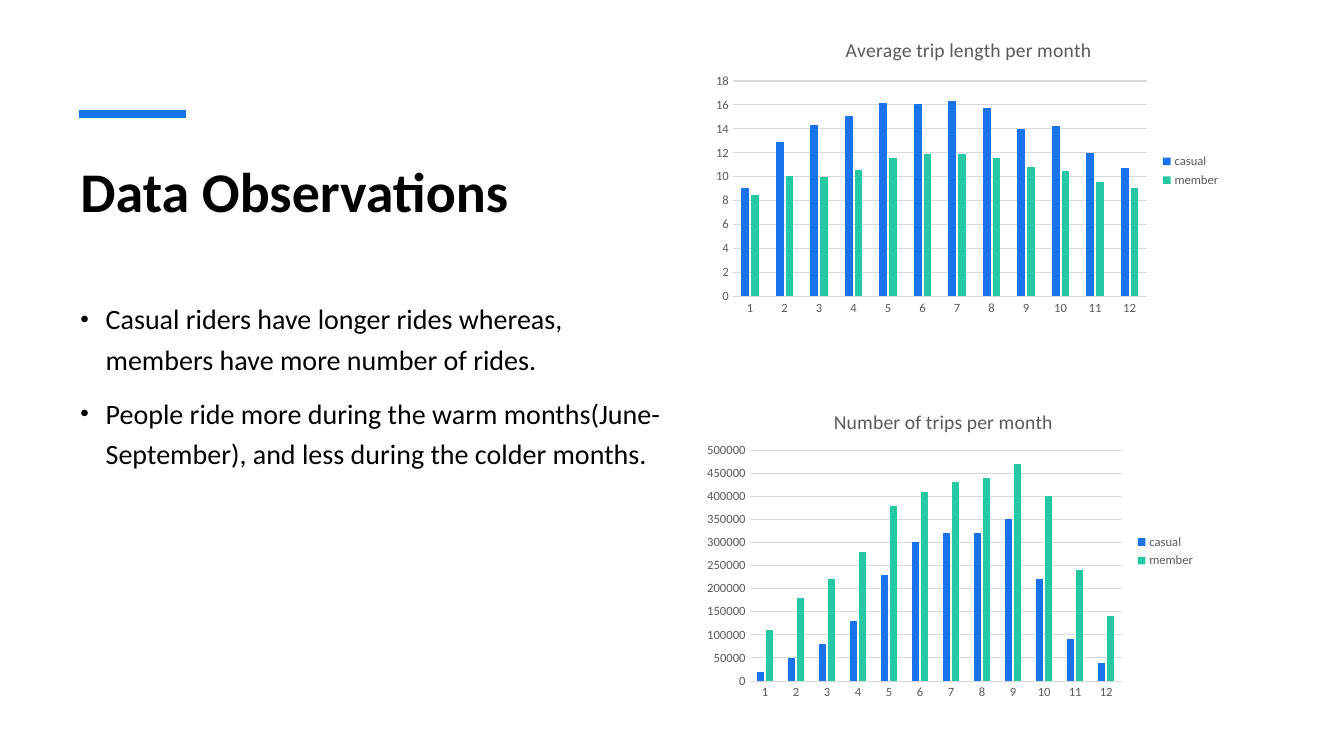
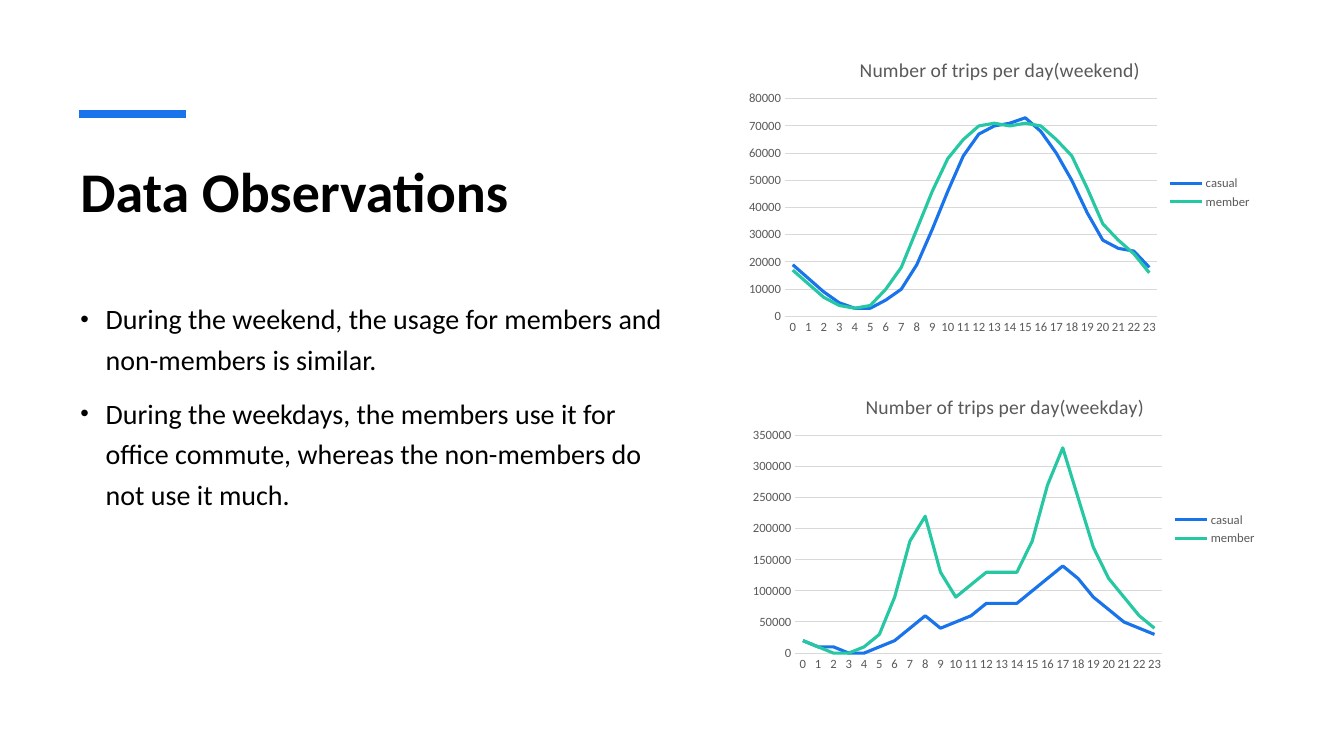
from lxml import etree
from pptx import Presentation
from pptx.chart.data import CategoryChartData
from pptx.dml.color import RGBColor
from pptx.enum import chart as charts, shapes, text
from pptx.oxml import ns
from pptx.util import Inches, Pt

BLACK = RGBColor(0x00, 0x00, 0x00)
BLUE = RGBColor(0x19, 0x73, 0xEB)
GREEN = RGBColor(0x25, 0xC8, 0xA2)
GRAY = RGBColor(0x59, 0x59, 0x59)
PALE = RGBColor(0xD9, 0xD9, 0xD9)
FONT = "Calibri"
WIDTH, HEIGHT = Inches(13.33), Inches(7.5)
COLUMN, ROW = WIDTH / 40, HEIGHT / 30

BARS = charts.XL_CHART_TYPE.COLUMN_CLUSTERED
LINES = charts.XL_CHART_TYPE.LINE
MONTHS = [str(month) for month in range(1, 13)]
HOURS = [str(hour) for hour in range(24)]

SLIDES = [
    {
        "points": [
            "Casual riders have longer rides whereas, members have more number of rides.",
            "People ride more during the warm months(June-September), and less during the colder months.",
        ],
        "charts": [
            {
                "title": "Number of trips per month",
                "kind": BARS, "categories": MONTHS, "grid": (20.28, 15.6, 15.6, 12.56),
                "plot": (0.13, 0.18, 0.71, 0.73), "top": 500000, "step": 50000,
                "casual": [20000, 50000, 80000, 130000, 230000, 300000,
                           320000, 320000, 350000, 220000, 90000, 40000],
                "member": [110000, 180000, 220000, 280000, 380000, 410000,
                           430000, 440000, 470000, 400000, 240000, 140000],
            },
            {
                "title": "Average trip length per month",
                "kind": BARS, "categories": MONTHS, "grid": (21.03, 0.84, 15.6, 11.88),
                "plot": (0.05, 0.2, 0.79, 0.72), "top": 18, "step": 2,
                "casual": [9.1, 12.9, 14.3, 15.1, 16.2, 16.1, 16.3, 15.7, 14, 14.2, 12, 10.7],
                "member": [8.5, 10.1, 10, 10.6, 11.6, 11.9, 11.9, 11.6, 10.8, 10.5, 9.6, 9.1],
            },
        ],
    },
    {
        "points": [
            "During the weekend, the usage for members and non-members is similar.",
            "During the weekdays, the members use it for office commute, whereas the non-members do not use it much.",
        ],
        "charts": [
            {
                "title": "Number of trips per day(weekday)",
                "kind": LINES, "categories": HOURS, "grid": (22.11, 15, 15.6, 12),
                "plot": (0.1, 0.19, 0.7, 0.72), "top": 350000, "step": 50000,
                "casual": [20000, 10000, 10000, 0, 0, 10000, 20000, 40000,
                           60000, 40000, 50000, 60000, 80000, 80000, 80000, 100000,
                           120000, 140000, 120000, 90000, 70000, 50000, 40000, 30000],
                "member": [20000, 10000, 0, 0, 10000, 30000, 90000, 180000,
                           220000, 130000, 90000, 110000, 130000, 130000, 130000, 180000,
                           270000, 330000, 250000, 170000, 120000, 90000, 60000, 40000],
            },
            {
                "title": "Number of trips per day(weekend)",
                "kind": LINES, "categories": HOURS, "grid": (21.96, 1.64, 15.6, 12),
                "plot": (0.09, 0.19, 0.71, 0.72), "top": 80000, "step": 10000,
                "casual": [19000, 14000, 9000, 5000, 3000, 3000, 6000, 10000,
                           19000, 32000, 46000, 59000, 67000, 70000, 71000, 73000,
                           68000, 60000, 50000, 38000, 28000, 25000, 24000, 18000],
                "member": [17000, 12000, 7000, 4000, 3000, 4000, 10000, 18000,
                           32000, 46000, 58000, 65000, 70000, 71000, 70000, 71000,
                           70000, 65000, 59000, 47000, 34000, 28000, 23000, 16000],
            },
        ],
    },
]


def cells(left, top, width, height):
    return round(left * COLUMN), round(top * ROW), round(width * COLUMN), round(height * ROW)


def style(font, size, color, bold=False):
    font.name, font.size, font.bold = FONT, Pt(size), bold
    font.color.rgb = color


def add_text_frame(page, box):
    frame = page.shapes.add_textbox(*box).text_frame
    frame.word_wrap = True
    frame.vertical_anchor = text.MSO_ANCHOR.TOP
    return frame


def add_accent(page, box):
    left, top, width, height = box
    accent = page.shapes.add_connector(
        shapes.MSO_CONNECTOR.STRAIGHT, left, top, left + width, top + height)
    accent.line.color.rgb = BLUE
    accent.line.width = Pt(6)
    etree.SubElement(accent._element.spPr, ns.qn("a:effectLst"))


def add_title(page, box, words):
    para = add_text_frame(page, box).paragraphs[0]
    para.text = words
    style(para.font, 40, BLACK, bold=True)


def add_bullet(para):
    properties = para._p.get_or_add_pPr()
    properties.set("marL", str(Inches(0.25)))
    properties.set("indent", str(-Inches(0.25)))
    etree.SubElement(properties, ns.qn("a:buSzPct"), val="87000")
    etree.SubElement(properties, ns.qn("a:buFont"), typeface="Arial")
    etree.SubElement(properties, ns.qn("a:buChar"), char="•")


def add_points(page, box, points):
    frame = add_text_frame(page, box)
    for number, point in enumerate(points):
        para = frame.add_paragraph() if number else frame.paragraphs[0]
        para.text = point
        para.line_spacing = 1.2
        if number:
            para.space_before = Pt(10)
        add_bullet(para)
        style(para.font, 20, BLACK)


def place_plot(chart, shares):
    area = chart._chartSpace.chart.plotArea
    for old in area.findall(ns.qn("c:layout")):
        area.remove(old)
    layout = etree.Element(ns.qn("c:layout"))
    manual = etree.SubElement(layout, ns.qn("c:manualLayout"))
    settings = [("layoutTarget", "inner"), ("xMode", "edge"), ("yMode", "edge")]
    for name, value in settings + list(zip("xywh", shares)):
        etree.SubElement(manual, ns.qn("c:" + name), val=str(value))
    area.insert(0, layout)


def style_axes(chart, top, step):
    for axis in (chart.category_axis, chart.value_axis):
        axis.major_tick_mark = axis.minor_tick_mark = charts.XL_TICK_MARK.NONE
        style(axis.tick_labels.font, 9, GRAY)
    values = chart.value_axis
    values.minimum_scale, values.maximum_scale, values.major_unit = 0, top, step
    values.has_major_gridlines = True
    values.format.line.fill.background()
    for line in (chart.category_axis.format.line, values.major_gridlines.format.line):
        line.color.rgb = PALE
        line.width = Pt(0.75)


def style_series(chart, kind):
    plot = chart.plots[0]
    plot.vary_by_categories = False
    if kind == BARS:
        plot.gap_width, plot.overlap = 219, -27
    for series, color in zip(plot.series, (BLUE, GREEN)):
        if kind == BARS:
            series.format.fill.solid()
            series.format.fill.fore_color.rgb = color
        else:
            series.smooth = False
            series.marker.style = charts.XL_MARKER_STYLE.NONE
            series.format.line.color.rgb = color
            series.format.line.width = Pt(2.25)


def add_trip_chart(page, box, trips):
    data = CategoryChartData()
    data.categories = trips["categories"]
    for rider in ("casual", "member"):
        data.add_series(rider, trips[rider])
    chart = page.shapes.add_chart(trips["kind"], *box, data).chart
    style(chart.font, 10, BLACK)
    heading = chart.chart_title.text_frame.paragraphs[0]
    heading.text = trips["title"]
    style(heading.font, 14, GRAY)
    chart.has_legend = True
    chart.legend.position = charts.XL_LEGEND_POSITION.RIGHT
    chart.legend.include_in_layout = False
    style(chart.legend.font, 9, GRAY)
    style_axes(chart, trips["top"], trips["step"])
    style_series(chart, trips["kind"])
    place_plot(chart, trips["plot"])


def add_observations(deck, content):
    page = deck.slides.add_slide(deck.slide_layouts[6])
    add_accent(page, cells(2.34, 4.52, 3.21, 0))
    add_title(page, cells(2.1, 6, 35.73, 4.8), "Data Observations")
    add_points(page, cells(2.1, 11.52, 17.91, 15.6), content["points"])
    for trips in content["charts"]:
        add_trip_chart(page, cells(*trips["grid"]), trips)


def main():
    deck = Presentation()
    deck.slide_width, deck.slide_height = WIDTH, HEIGHT
    for content in SLIDES:
        add_observations(deck, content)
    deck.save("out.pptx")


if __name__ == "__main__":
    main()
